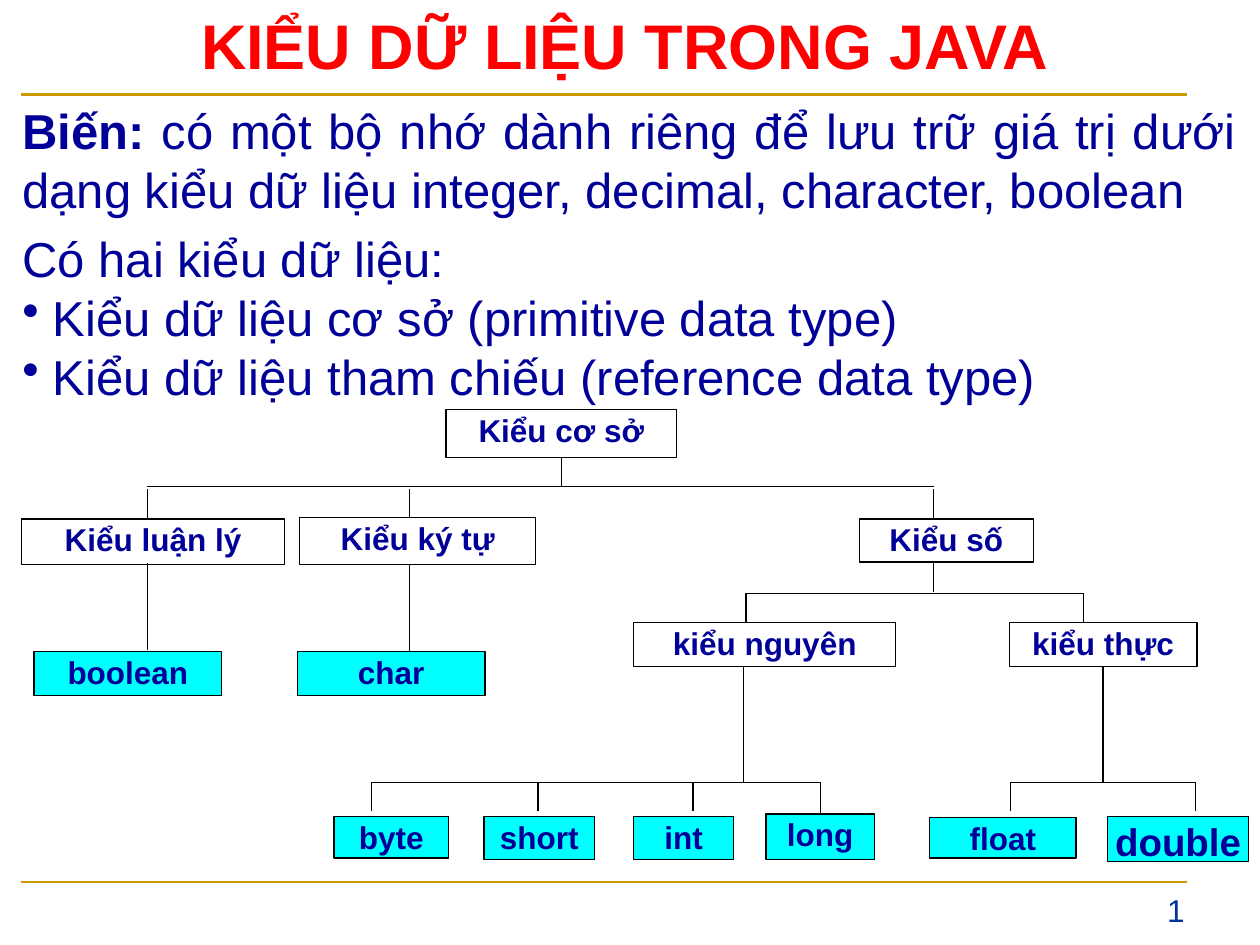
from lxml import etree
from pptx import Presentation
from pptx.dml.color import RGBColor
from pptx.enum.shapes import MSO_CONNECTOR, MSO_SHAPE
from pptx.enum.text import MSO_ANCHOR, PP_ALIGN
from pptx.oxml.ns import qn
from pptx.util import Inches, Pt

STRAIGHT = MSO_CONNECTOR.STRAIGHT
RECTANGLE = MSO_SHAPE.RECTANGLE
TOP_ANCHOR = MSO_ANCHOR.TOP
LEFT, CENTER, RIGHT, JUSTIFY = (
    PP_ALIGN.LEFT, PP_ALIGN.CENTER, PP_ALIGN.RIGHT, PP_ALIGN.JUSTIFY)
TOP_SIDE, BOTTOM_SIDE = 0, 2

FONT = "Arial"
GOLD, RED, NAVY, BLUE = "CC9900", "FF0000", "000099", "003399"
WHITE, CYAN, BLACK = "FFFFFF", "00FFFF", "000000"
BULLET_INDENT = 0.24
DROP = 0.23

TITLE = "KIỂU DỮ LIỆU TRONG JAVA"
PAGE_NUMBER = "1"
RULES = [(0.75, 2.25), (7, 1.5)]  # height on the page, line width

# runs (text, bold), space before, bulleted
BODY = [
    ([("Biến:", True),
      (" có một bộ nhớ dành riêng để lưu trữ giá trị dưới dạng kiểu dữ liệu "
       "integer, decimal, character, boolean", False)], 0, False),
    ([("Có hai kiểu dữ liệu:", False)], 6, False),
    ([("Kiểu dữ liệu cơ sở (primitive data type)", False)], 0, True),
    ([("Kiểu dữ liệu tham chiếu (reference data type)", False)], 0, True),
]

# label: left, top, width, height
CATEGORIES = {
    "Kiểu cơ sở": (3.54, 3.25, 1.83, 0.38),
    "Kiểu luận lý": (0.17, 4.12, 2.09, 0.36),
    "Kiểu ký tự": (2.38, 4.11, 1.87, 0.37),
    "Kiểu số": (6.82, 4.12, 1.38, 0.34),
    "kiểu nguyên": (5.03, 4.94, 2.08, 0.35),
    "kiểu thực": (8.01, 4.94, 1.49, 0.35),
}
TYPES = {
    "boolean": (0.27, 5.17, 1.49, 0.35),
    "char": (2.36, 5.17, 1.49, 0.35),
    "byte": (2.65, 6.48, 0.91, 0.33),
    "short": (3.84, 6.48, 0.88, 0.34),
    "int": (5.03, 6.48, 0.79, 0.34),
    "long": (6.08, 6.46, 0.86, 0.36),
    "float": (7.38, 6.49, 1.16, 0.32),
    "double": (8.79, 6.48, 1.12, 0.36),
}
LABEL_SIZES = {"double": 22}

# bar height, x of each drop, top of the drops
BRANCHES = [
    (3.86, [1.17, 3.25, 7.41], 3.88),
    (4.71, [5.92, 8.6], 4.71),
    (6.21, [2.95, 4.27, 5.5], 6.21),
    (6.21, [8.02, 9.49], 6.21),
]
# x, top, bottom of lines that meet a box away from its middle
OFFSET_STEMS = [(7.41, 4.47, 4.7), (5.9, 5.29, 6.21),
                (1.17, 4.47, 5.16), (3.25, 4.48, 5.17)]
# box, side, height of the bar it meets
CENTRED_STEMS = [("Kiểu cơ sở", BOTTOM_SIDE, 3.86),
                 ("kiểu thực", BOTTOM_SIDE, 6.21),
                 ("long", TOP_SIDE, 6.21)]


def color(value):
    return RGBColor.from_string(value)


def add_span(para, text, size, ink, bold=False):
    span = para.add_run()
    span.text = text
    span.font.name = FONT
    span.font.size = Pt(size)
    span.font.bold = bold
    span.font.color.rgb = color(ink)


def add_text_frame(page, place):
    box = page.shapes.add_textbox(*map(Inches, place))
    box.text_frame.word_wrap = True
    return box.text_frame


def add_line(page, x1, y1, x2, y2, ink=BLACK, width=0.75):
    line = page.shapes.add_connector(
        STRAIGHT, *map(Inches, (x1, y1, x2, y2)))
    line.line.color.rgb = color(ink)
    line.line.width = Pt(width)
    etree.SubElement(line._element.spPr, qn("a:effectLst"))
    return line


def add_bullet(para):
    props = para._p.get_or_add_pPr()
    props.set("marL", str(Inches(BULLET_INDENT)))
    props.set("indent", str(-Inches(BULLET_INDENT)))
    tint = etree.SubElement(props, qn("a:buClr"))
    etree.SubElement(tint, qn("a:srgbClr"), val=NAVY)
    etree.SubElement(props, qn("a:buChar"), char="•")


def add_heading(page):
    para = add_text_frame(page, (0, 0, 9.92, 0.7)).paragraphs[0]
    para.alignment = CENTER
    add_span(para, TITLE, 36, RED, True)


def add_body(page):
    frame = add_text_frame(page, (0.08, 0.75, 9.83, 2.52))
    for index, (spans, space, bulleted) in enumerate(BODY):
        para = frame.add_paragraph() if index else frame.paragraphs[0]
        para.alignment = JUSTIFY
        if space:
            para.space_before = Pt(space)
        if bulleted:
            add_bullet(para)
        for text, bold in spans:
            add_span(para, text, 28, NAVY, bold)


def add_node(page, label, place, fill):
    node = page.shapes.add_shape(RECTANGLE, *map(Inches, place))
    node.shadow.inherit = False
    node.fill.solid()
    node.fill.fore_color.rgb = color(fill)
    node.line.color.rgb = color(BLACK)
    node.line.width = Pt(0.75)
    frame = node.text_frame
    frame.word_wrap = True
    frame.vertical_anchor = TOP_ANCHOR
    frame.margin_left = frame.margin_right = Inches(0.01)
    frame.margin_top = frame.margin_bottom = Inches(0.01)
    para = frame.paragraphs[0]
    para.alignment = CENTER
    add_span(para, label, LABEL_SIZES.get(label, 18), NAVY, True)
    return node


def add_tree(page):
    places = {**CATEGORIES, **TYPES}
    nodes = {label: add_node(page, label, place,
                             CYAN if label in TYPES else WHITE)
             for label, place in places.items()}
    for bar_y, drops, top in BRANCHES:
        end = 6.52 if drops[0] == 2.95 else drops[-1]  # reaches over to long
        add_line(page, drops[0], bar_y, end, bar_y)
        for x in drops:
            add_line(page, x, top, x, top + DROP)
    for x, top, bottom in OFFSET_STEMS:
        add_line(page, x, top, x, bottom)
    for label, side, bar_y in CENTRED_STEMS:
        left, top, width, height = places[label]
        x = left + width / 2
        edge = top + height if side == BOTTOM_SIDE else top
        stem = add_line(page, x, edge, x, bar_y)
        stem.begin_connect(nodes[label], side)


def main():
    deck = Presentation()
    deck.slide_width, deck.slide_height = Inches(10), Inches(7.5)
    page = deck.slides.add_slide(deck.slide_layouts[6])
    for y, width in RULES:
        add_line(page, 0.17, y, 9.42, y, GOLD, width)
    number = add_text_frame(page, (7.67, 7.02, 1.83, 0.4)).paragraphs[0]
    number.alignment = RIGHT
    add_span(number, PAGE_NUMBER, 18, BLUE)
    add_heading(page)
    add_body(page)
    add_tree(page)
    deck.save("out.pptx")


if __name__ == "__main__":
    main()
